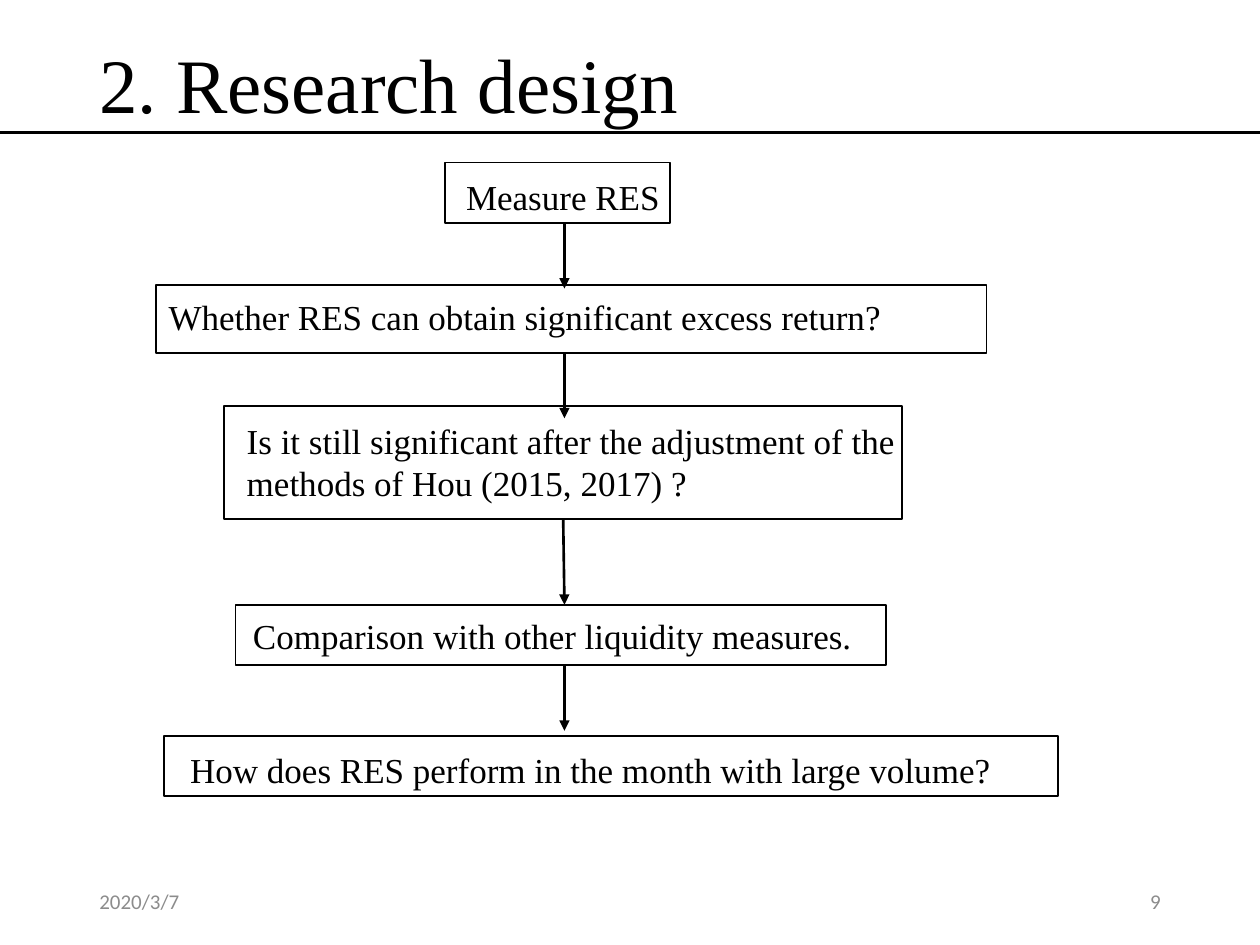
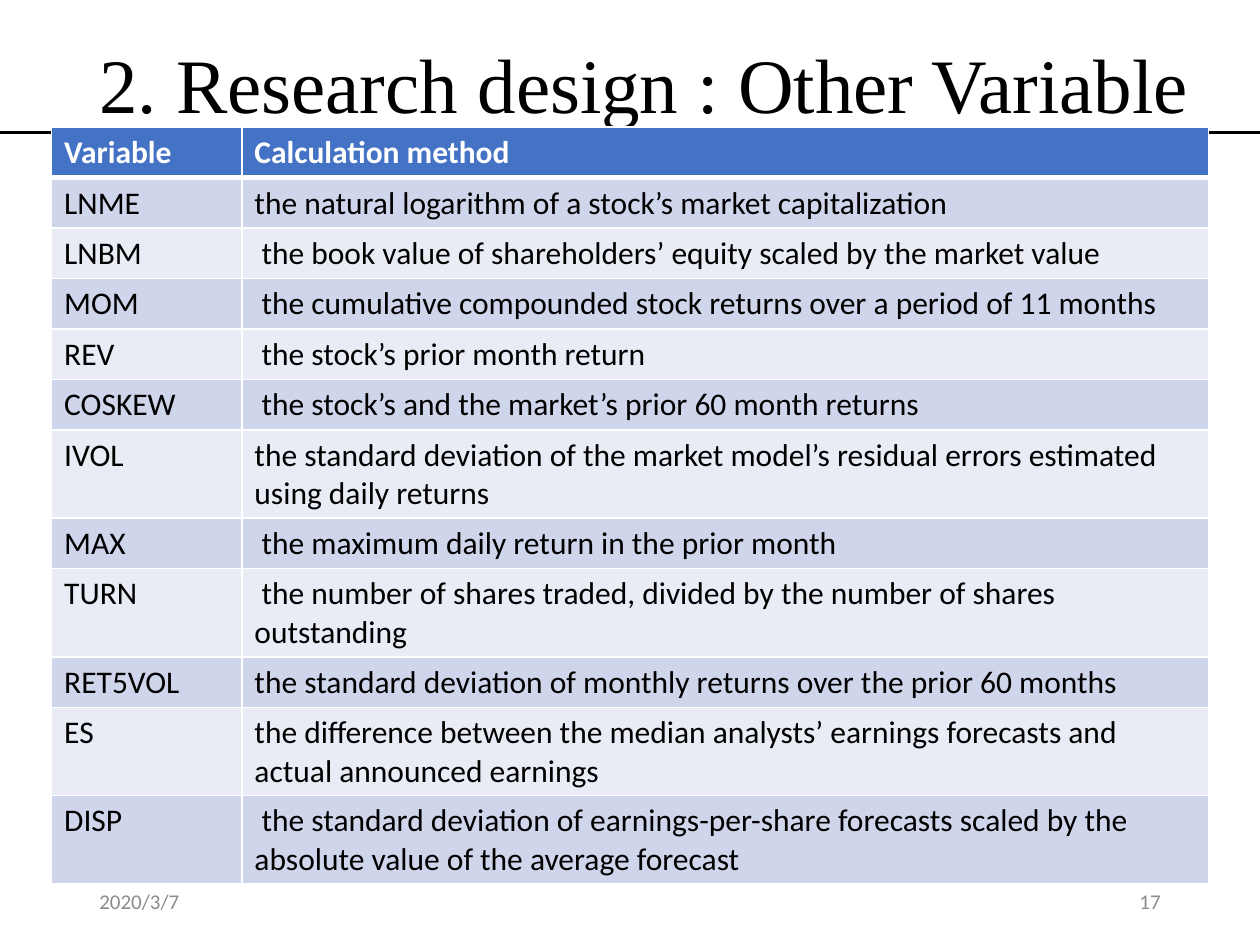
import pptx
import pptx.util
import pptx.dml.color
import pptx.enum.shapes
import pptx.enum.text
import pptx.oxml
import pptx.oxml.ns
from pptx.util import Inches

SERIF, SANS = "Times New Roman", "Calibri"
BLACK, WHITE, GRAY = "000000", "FFFFFF", "8C8C8C"
BLUE, BANDS = "4472C4", ("CFD5EA", "E9EBF5")
DATE = "2020/3/7"

# box, label place, label text, arrow below as (start x, length)
STEPS = [
    ((3.53, 1.29, 1.79, 0.48), (3.6, 1.34, 1.75, 0.44),
     "Measure RES", (4.48, 0.52)),
    ((1.24, 2.26, 6.59, 0.54), (1.24, 2.3, 6.33, 0.44),
     "Whether RES can obtain significant excess return?", (4.48, 0.52)),
    ((1.78, 3.22, 5.38, 0.9), (1.86, 3.28, 5.42, 0.77),
     "Is it still significant after the adjustment of the methods of "
     "Hou (2015, 2017) ?", (4.47, 0.68)),
    ((1.87, 4.8, 5.16, 0.48), (1.91, 4.83, 5.24, 0.44),
     "Comparison with other liquidity measures.", (4.48, 0.52)),
    ((1.3, 5.84, 7.1, 0.48), (1.41, 5.89, 6.98, 0.44),
     "How does RES perform in the month with large volume?", None),
]
TIP_X = 4.48

# name, method, lines of text
ROWS = [
    ("Variable", "Calculation method", 1),
    ("LNME", "the natural logarithm of a stock’s market capitalization", 1),
    ("LNBM", " the book value of shareholders’ equity scaled by the market "
     "value", 1),
    ("MOM", " the cumulative compounded stock returns over a period of 11 "
     "months", 1),
    ("REV", " the stock’s prior month return", 1),
    ("COSKEW", " the stock’s and the market’s prior 60 month returns", 1),
    ("IVOL", "the standard deviation of the market model’s residual errors "
     "estimated using daily returns", 2),
    ("MAX", " the maximum daily return in the prior month", 1),
    ("TURN", " the number of shares traded, divided by the number of shares "
     "outstanding", 2),
    ("RET5VOL", "the standard deviation of monthly returns over the prior "
     "60 months", 1),
    ("ES", "the difference between the median analysts’ earnings forecasts "
     "and actual announced earnings", 2),
    ("DISP", " the standard deviation of earnings-per-share forecasts scaled "
     "by the absolute value of the average forecast", 2),
]
COLS = (1.51, 7.67)
HEIGHTS = {1: 0.4, 2: 0.7}  # least heights; rows grow to fit their text


def rgb(code):
    return pptx.dml.color.RGBColor.from_string(code)


def inches(nums):
    return [Inches(n) for n in nums]


def write(frame, text, size=20, font=SERIF, color=BLACK, bold=False,
          right=False, space=None):
    par = frame.paragraphs[0]
    if right:
        par.alignment = pptx.enum.text.PP_ALIGN.RIGHT
    if space:
        par.line_spacing = space
    run = par.add_run()
    run.text = text
    run.font.size = pptx.util.Pt(size)
    run.font.name = font
    run.font.bold = bold
    run.font.color.rgb = rgb(color)


def label(shapes, place, text, middle=False, wrap=True, **form):
    frame = shapes.add_textbox(*inches(place)).text_frame
    frame.word_wrap = wrap
    if middle:
        frame.vertical_anchor = pptx.enum.text.MSO_ANCHOR.MIDDLE
    write(frame, text, **form)


def rule(slide, start, end, arrow=False):
    """Draw a straight black line, with an arrowhead at its end if asked."""
    line = slide.shapes.add_connector(
        pptx.enum.shapes.MSO_CONNECTOR.STRAIGHT, *inches(start + end))
    line.line.width = pptx.util.Pt(1.5)
    line.line.color.rgb = rgb(BLACK)
    props = line._element.spPr
    if arrow:
        head = pptx.oxml.parse_xml(
            f'<a:tailEnd {pptx.oxml.ns.nsdecls("a")} type="triangle"/>')
        line.line._get_or_add_ln().append(head)
    props.append(pptx.oxml.parse_xml(
        f'<a:effectLst {pptx.oxml.ns.nsdecls("a")}/>'))


def page(deck, title, number, fill, width=8.62):
    """Add a slide with its title, rule and content, then its footer on top."""
    slide = deck.slides.add_slide(deck.slide_layouts[6])
    label(slide.shapes, (0.69, 0.32, width, 0.69), title, size=44, space=0.9)
    rule(slide, (0, 1.05), (10, 1.05))
    fill(slide)
    foot = dict(middle=True, size=12, font=SANS, color=GRAY)
    label(slide.shapes, (0.69, 6.95, 2.25, 0.4), DATE, **foot)
    label(slide.shapes, (7.06, 6.95, 2.25, 0.4), number, right=True, **foot)


def flow(slide):
    for place, spot, text, _ in STEPS:
        group = slide.shapes.add_group_shape()
        box = group.shapes.add_shape(
            pptx.enum.shapes.MSO_SHAPE.RECTANGLE, *inches(place))
        box.shadow.inherit = False
        box.fill.background()
        box.line.color.rgb = rgb(BLACK)
        box.line.width = pptx.util.Pt(1)
        label(group.shapes, spot, text, wrap=text != STEPS[0][2])
    for (_, top, _, height), _, _, arrow in STEPS:
        if arrow:
            x, drop = arrow
            foot = top + height
            rule(slide, (x, foot), (TIP_X, foot + drop), arrow=True)


def border(cell, **widths):
    """Give the cell white borders; sides are L, R, T and B in points."""
    props = cell._tc.get_or_add_tcPr()
    for spot, side in enumerate("LRTB"):
        width = pptx.util.Pt(widths.get(side, 1))
        props.insert(spot, pptx.oxml.parse_xml(
            f'<a:ln{side} {pptx.oxml.ns.nsdecls("a")} w="{width}">'
            f'<a:solidFill><a:srgbClr val="{WHITE}"/></a:solidFill>'
            f'</a:ln{side}>'))


def grid(slide):
    tall = [HEIGHTS[lines] for _, _, lines in ROWS]
    table = slide.shapes.add_table(
        len(ROWS), len(COLS),
        *inches((0.41, 1.01, sum(COLS), sum(tall)))).table
    table.horz_banding = False
    for col, width in zip(table.columns, COLS):
        col.width = Inches(width)
    for r, row in enumerate(ROWS):
        table.rows[r].height = Inches(tall[r])
        head = r == 0
        edge = {"B": 3} if head else {"T": 3} if r == 1 else {}
        for c in range(len(COLS)):
            cell = table.cell(r, c)
            cell.fill.solid()
            cell.fill.fore_color.rgb = rgb(BLUE if head else BANDS[(r - 1) % 2])
            border(cell, **edge)
            write(cell.text_frame, row[c], size=18, font=SANS, bold=head,
                  color=WHITE if head else BLACK)


def main():
    deck = pptx.Presentation()
    deck.slide_width, deck.slide_height = inches((10, 7.5))
    page(deck, "2. Research design", "9", flow)
    page(deck, "2. Research design : Other Variable", "17", grid, width=9.16)
    deck.save("out.pptx")


if __name__ == "__main__":
    main()
